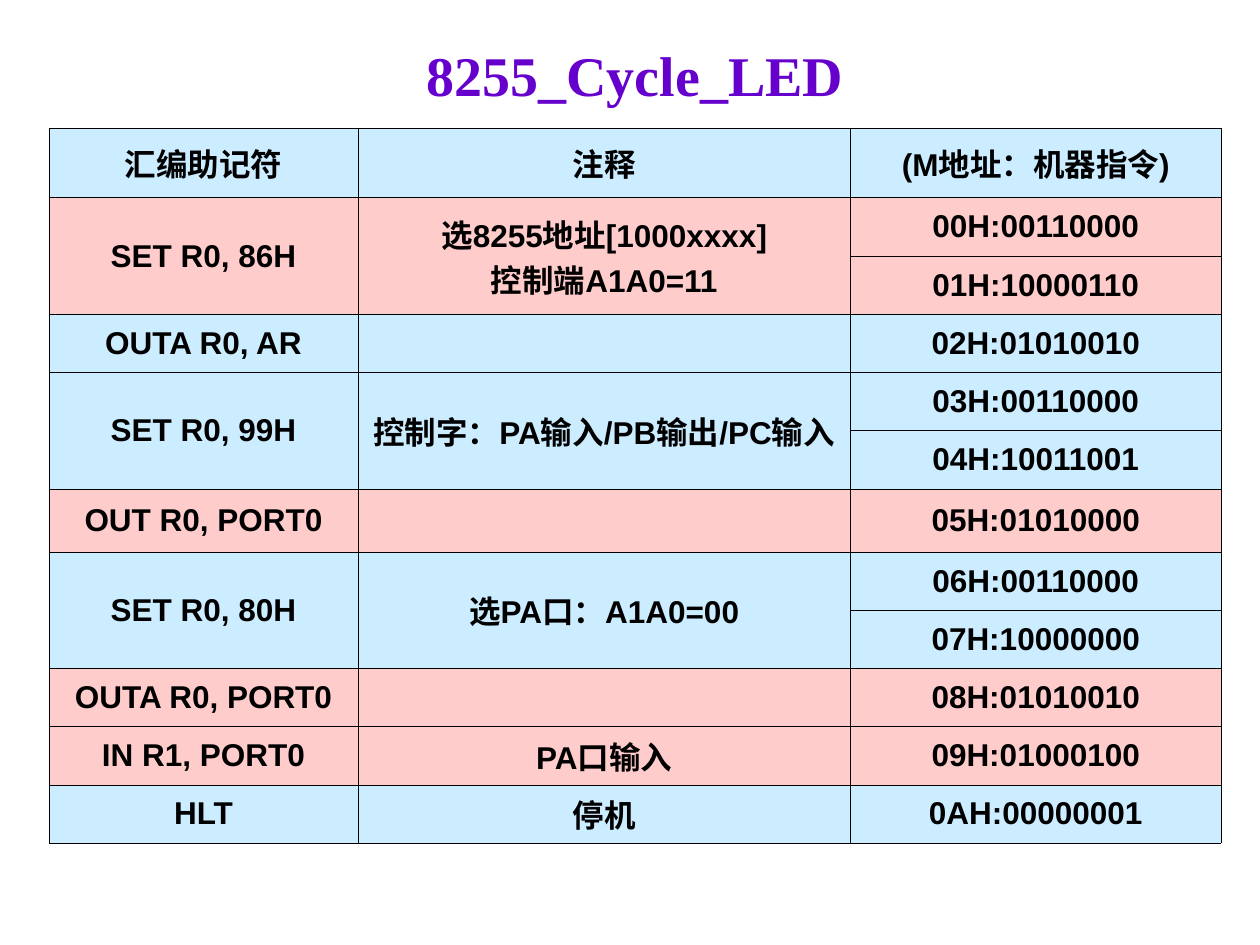
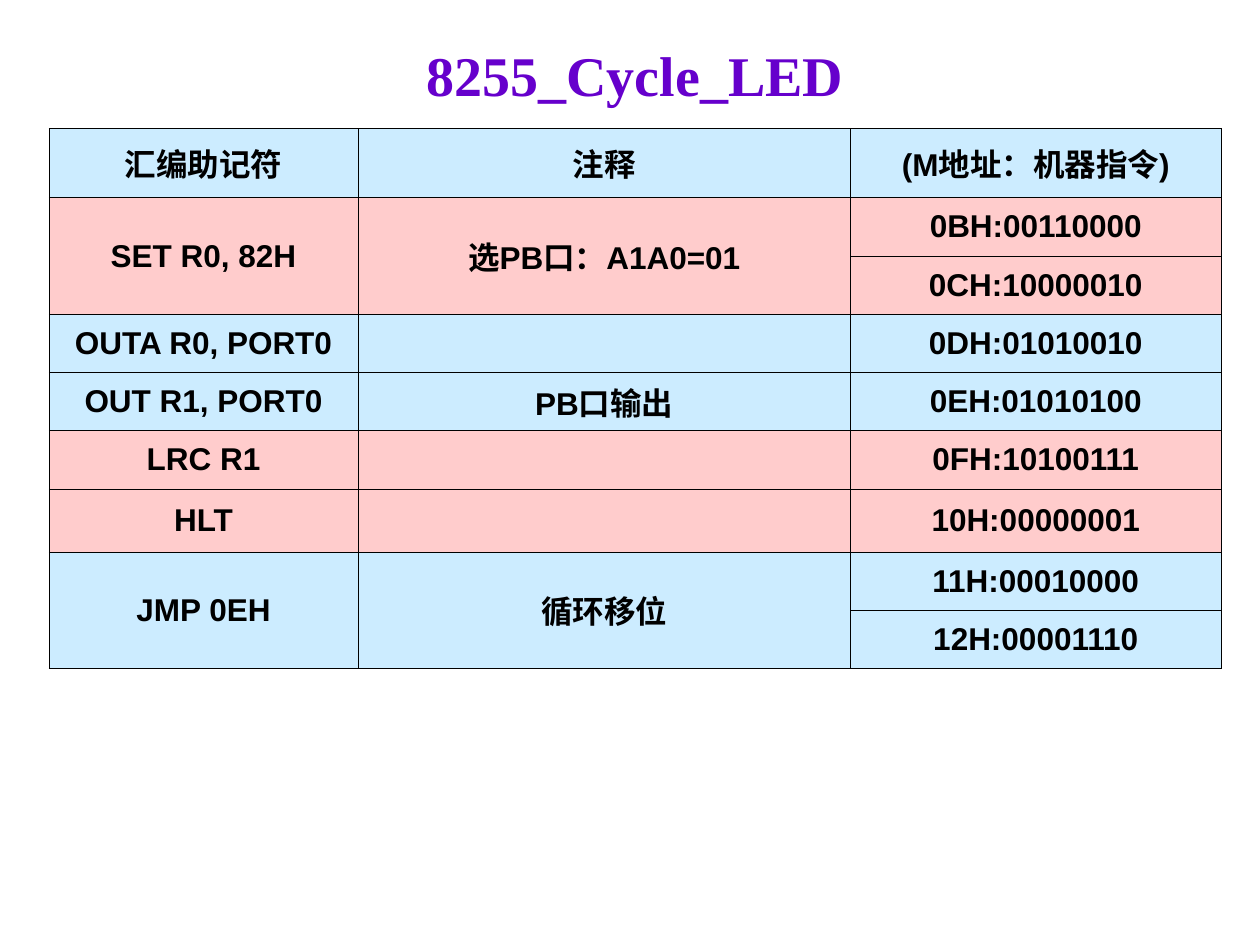
from dataclasses import dataclass
from itertools import accumulate

from lxml import etree
from pptx import Presentation, util as u
from pptx.dml.color import RGBColor
from pptx.enum import text as t
from pptx.oxml import ns

WIDTH, HEIGHT = u.Inches(10), u.Inches(7.5)
LEFT, SPAN = u.Inches(0.39), u.Inches(9.3)
TITLE_TOP, TITLE_HEIGHT = u.Inches(0.31), u.Inches(0.55)
TABLE_TOP = u.Inches(1.02)
COLUMNS = (2.45, 3.91, 2.94)  # relative column widths
ROW = u.Pt(33.3)
ROW_SCALE = {0: 1.19, 6: 1.08}  # taller rows, in units of ROW
HANG = u.Inches(0.38)

BLACK, PURPLE = "000000", "6600CC"
BLUE, PINK = "CCECFF", "FFCCCC"
TITLE = "8255_Cycle_LED"


@dataclass(frozen=True)
class Instruction:
    """One table entry; it takes as many rows as it has machine codes."""
    mnemonic: str
    note: str
    codes: tuple[str, ...]
    tint: str


HEADER = Instruction("汇编助记符", "注释", ("(M地址：机器指令)",), BLUE)

PROGRAMS = (
    (
        Instruction("SET R0, 86H", "选8255地址[1000xxxx]\n控制端A1A0=11",
                    ("00H:00110000", "01H:10000110"), PINK),
        Instruction("OUTA R0, AR", "", ("02H:01010010",), BLUE),
        Instruction("SET R0, 99H", "控制字：PA输入/PB输出/PC输入",
                    ("03H:00110000", "04H:10011001"), BLUE),
        Instruction("OUT R0, PORT0", "", ("05H:01010000",), PINK),
        Instruction("SET R0, 80H", "选PA口：A1A0=00",
                    ("06H:00110000", "07H:10000000"), BLUE),
        Instruction("OUTA R0, PORT0", "", ("08H:01010010",), PINK),
        Instruction("IN R1, PORT0", "PA口输入", ("09H:01000100",), PINK),
        Instruction("HLT", "停机", ("0AH:00000001",), BLUE),
    ),
    (
        Instruction("SET R0, 82H", "选PB口：A1A0=01",
                    ("0BH:00110000", "0CH:10000010"), PINK),
        Instruction("OUTA R0, PORT0", "", ("0DH:01010010",), BLUE),
        Instruction("OUT R1, PORT0", "PB口输出", ("0EH:01010100",), BLUE),
        Instruction("LRC R1", "", ("0FH:10100111",), PINK),
        Instruction("HLT", "", ("10H:00000001",), PINK),
        Instruction("JMP 0EH", "循环移位",
                    ("11H:00010000", "12H:00001110"), BLUE),
    ),
)


def color(value: str) -> RGBColor:
    return RGBColor.from_string(value)


def write(frame, content: str, *, size: float = 18, font: str = "Arial",
          ink: str = BLACK, hang: int = 0) -> None:
    """Fill a text frame with bold centred paragraphs, one per line."""
    frame.word_wrap = True
    for index, line in enumerate(content.split("\n")):
        para = frame.add_paragraph() if index else frame.paragraphs[0]
        para.alignment = t.PP_ALIGN.CENTER
        if hang:
            properties = para._p.get_or_add_pPr()
            properties.set("marL", str(hang))
            properties.set("indent", str(-hang))
        span = para.add_run()
        span.text = line
        span.font.size, span.font.name, span.font.bold = u.Pt(size), font, True
        span.font.color.rgb = color(ink)


def style_cell(cell, tint: str) -> None:
    """Give a cell thin black borders, a fill and middle anchoring."""
    properties = cell._tc.get_or_add_tcPr()
    for side in ("lnL", "lnR", "lnT", "lnB"):
        line = etree.SubElement(properties, ns.qn(f"a:{side}"), w=str(u.Pt(0.45)))
        fill = etree.SubElement(line, ns.qn("a:solidFill"))
        etree.SubElement(fill, ns.qn("a:srgbClr"), val=BLACK)
    cell.fill.solid()
    cell.fill.fore_color.rgb = color(tint)
    cell.vertical_anchor = t.MSO_ANCHOR.MIDDLE


def add_title(page) -> None:
    box = page.shapes.add_textbox(LEFT, TITLE_TOP, SPAN, TITLE_HEIGHT)
    box.text_frame.vertical_anchor = t.MSO_ANCHOR.MIDDLE
    write(box.text_frame, TITLE, size=32, font="Times New Roman", ink=PURPLE)


def add_listing(page, entries: tuple[Instruction, ...]) -> None:
    starts = list(accumulate((len(entry.codes) for entry in entries), initial=0))
    heights = [int(ROW * ROW_SCALE.get(row, 1)) for row in range(starts[-1])]
    table = page.shapes.add_table(len(heights), len(COLUMNS), LEFT, TABLE_TOP,
                                  SPAN, sum(heights)).table
    table.first_row = table.horz_banding = False
    for column, share in zip(table.columns, COLUMNS):
        column.width = int(SPAN * share / sum(COLUMNS))
    for row, height in zip(table.rows, heights):
        row.height = height

    for entry, top in zip(entries, starts):
        bottom = top + len(entry.codes) - 1
        for row, code in enumerate(entry.codes, top):
            for column in range(len(COLUMNS)):
                style_cell(table.cell(row, column), entry.tint)
            write(table.cell(row, 2).text_frame, code, hang=HANG)
        for column, content in enumerate((entry.mnemonic, entry.note)):
            cell = table.cell(top, column)
            if bottom > top:
                cell.merge(table.cell(bottom, column))
            if content:
                write(cell.text_frame, content, hang=HANG)


def main() -> None:
    deck = Presentation()
    deck.slide_width, deck.slide_height = WIDTH, HEIGHT
    for program in PROGRAMS:
        page = deck.slides.add_slide(deck.slide_layouts[6])
        add_listing(page, (HEADER, *program))
        add_title(page)
    deck.save("out.pptx")


if __name__ == "__main__":
    main()
